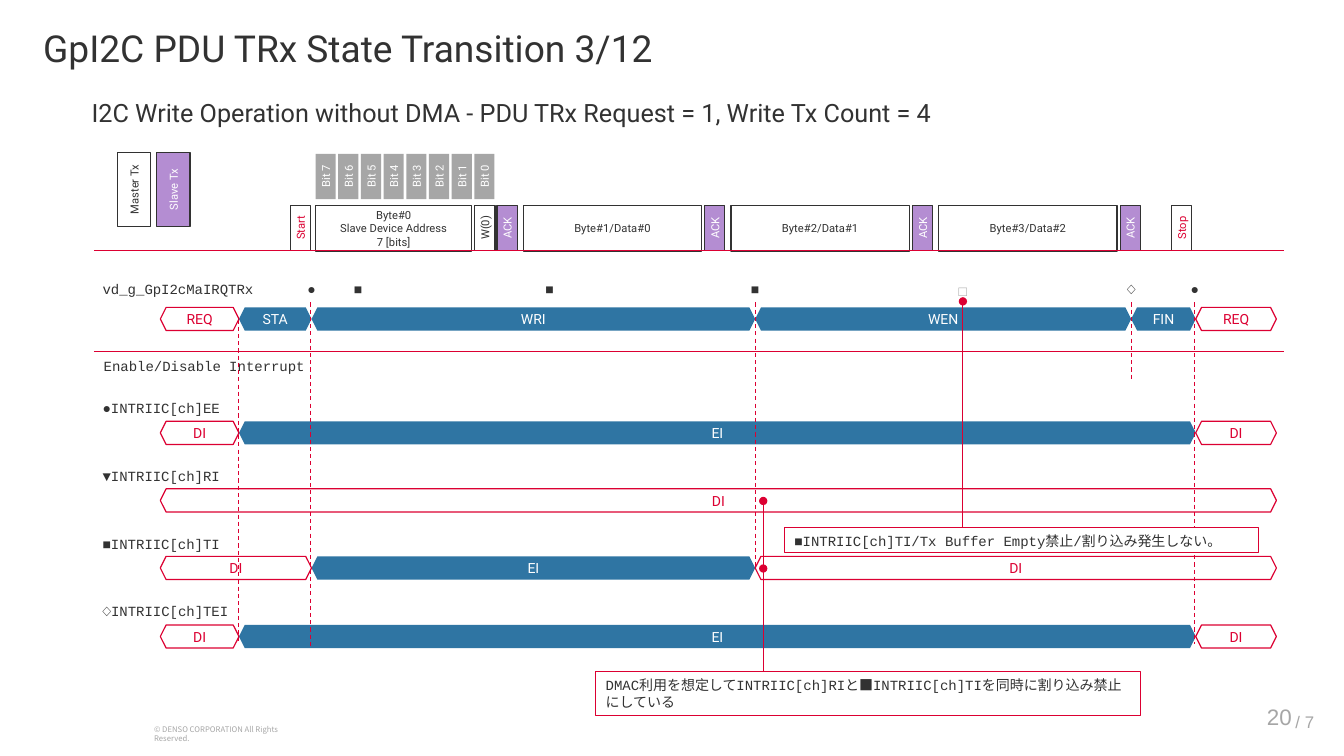
import pptx
import pptx.util
import pptx.dml.color
import pptx.enum.dml
import pptx.enum.shapes
import pptx.enum.text
import pptx.oxml.ns
from lxml import etree

Inches = pptx.util.Inches
Pt = pptx.util.Pt
MSO = pptx.enum.shapes.MSO_SHAPE
ALIGN = pptx.enum.text.PP_ALIGN
ANCHOR = pptx.enum.text.MSO_ANCHOR
qn = pptx.oxml.ns.qn

INK, RED, BLUE = "323232", "DC0032", "2F75A3"
PURPLE, GREY, WHITE = "B48DD2", "A6A6A6", "FFFFFF"
SANS, MONO = "Roboto", "Courier New"


def rgb(value):
    return pptx.dml.color.RGBColor.from_string(value)


class TimingSlide:
    def __init__(self, prs):
        self.shapes = prs.slides.add_slide(prs.slide_layouts[6]).shapes

    def put_text(self, sp, text, size, color, font, align, anchor, inset, spacing=None, wrap=True):
        tf = sp.text_frame
        tf.word_wrap = wrap
        tf.vertical_anchor = anchor
        tf.margin_left = tf.margin_right = Inches(inset[0])
        tf.margin_top = tf.margin_bottom = Inches(inset[1])
        for i, line in enumerate(text.split("\n")):
            p = tf.add_paragraph() if i else tf.paragraphs[0]
            p.add_run().text = line
            p.alignment = align
            p.line_spacing = spacing
            p.font.size, p.font.name = Pt(size), font
            p.font.color.rgb = rgb(color)

    def text(self, x, y, w, h, text, size=10, color=INK, font=MONO, align=ALIGN.LEFT,
             anchor=ANCHOR.TOP, inset=(0.1, 0.05), spacing=None, wrap=True):
        sp = self.shapes.add_textbox(Inches(x), Inches(y), Inches(w), Inches(h))
        self.put_text(sp, text, size, color, font, align, anchor, inset, spacing, wrap)

    def shape(self, kind, x, y, w, h, fill, line, weight=0.85):
        sp = self.shapes.add_shape(kind, Inches(x), Inches(y), Inches(w), Inches(h))
        sp.shadow.inherit = False
        if fill:
            sp.fill.solid()
            sp.fill.fore_color.rgb = rgb(fill)
        else:
            sp.fill.background()
        if line:
            sp.line.color.rgb = rgb(line)
            sp.line.width = Pt(weight)
        else:
            sp.line.fill.background()
        return sp

    def box(self, x, y, w, h, text, fill=WHITE, line=INK, color=INK):
        sp = self.shape(MSO.RECTANGLE, x, y, w, h, fill, line)
        self.put_text(sp, text, 8, color, SANS, ALIGN.CENTER, ANCHOR.MIDDLE, (0, 0))
        return sp

    def upright(self, cx, cy, text, length=0.45, thick=0.2, **style):
        """Box turned to read upwards, placed by its centre."""
        sp = self.box(cx - length / 2, cy - thick / 2, length, thick, text, **style)
        sp.rotation = 270

    def state(self, x, end, y, text, active):
        fill, line, color = (BLUE, None, WHITE) if active else (WHITE, RED, RED)
        sp = self.shape(MSO.HEXAGON, x, y, end - x, 0.23, fill, line)
        self.put_text(sp, text, 10, color, SANS, ALIGN.CENTER, ANCHOR.MIDDLE, (0, 0))

    def note(self, x, y, w, h, text, fill):
        sp = self.shape(MSO.RECTANGLE, x, y, w, h, fill, RED, 0.75)
        self.put_text(sp, text, 10, INK, MONO, ALIGN.LEFT, ANCHOR.TOP, (0.1, 0.05))

    def line(self, x1, y1, x2, y2, dash=False, dot=False):
        cn = self.shapes.add_connector(pptx.enum.shapes.MSO_CONNECTOR.STRAIGHT,
                                       Inches(x1), Inches(y1), Inches(x2), Inches(y2))
        cn.line.color.rgb = rgb(RED)
        cn.line.width = Pt(0.75)
        if dash:
            cn.line.dash_style = pptx.enum.dml.MSO_LINE.DASH
        if dot:
            etree.SubElement(cn.get_or_add_ln(), qn("a:tailEnd"), type="oval")
        etree.SubElement(cn._element.spPr, qn("a:effectLst"))


def main():
    prs = pptx.Presentation()
    prs.slide_width, prs.slide_height = Inches(13.33), Inches(7.5)
    s = TimingSlide(prs)

    # Footer and headings
    s.text(1.43, 7.14, 1.78, 0.19, "© DENSO CORPORATION All Rights Reserved.", 5.5, GREY,
           "Noto Sans CJK JP")
    s.text(12.2, 6.93, 0.71, 0.35, "20", 16, GREY, "Arial", ALIGN.RIGHT, ANCHOR.MIDDLE, (0.1, 0.04))
    s.text(12.75, 7.02, 0.39, 0.28, "/ 7", 12, GREY, "Arial", anchor=ANCHOR.MIDDLE,
           inset=(0.1, 0.04), wrap=False)
    s.text(0.33, 0.28, 11.49, 0.45, "GpI2C PDU TRx State Transition 3/12", 26.5, font=SANS,
           anchor=ANCHOR.MIDDLE, spacing=0.9)
    s.text(0.81, 0.86, 9.14, 0.36,
           "I2C Write Operation without DMA - PDU TRx Request = 1, Write Tx Count = 4",
           18, font=SANS, inset=(0.1, 0), spacing=1.35, wrap=False)

    # Bus frame: start, address bits, bytes with acknowledges, stop
    bus_y = 2.26
    slave = {"fill": PURPLE, "color": WHITE}
    s.upright(2.98, bus_y, "Start", color=RED)
    s.upright(11.72, bus_y, "Stop", color=RED)
    for i in range(8):
        s.upright(3.23 + 0.225 * i, 1.75, f"Bit {7 - i}", fill=GREY, line=None, color=WHITE)
    s.box(3.13, 2.04, 1.55, 0.45, "Byte#0\nSlave Device Address\n7 [bits]")
    s.upright(4.81, bus_y, "W(0)")
    s.upright(5.03, bus_y, "ACK", **slave)
    for i in range(3):
        x = 5.19 + 2.06 * i
        s.box(x, 2.04, 1.77, 0.45, f"Byte#{i + 1}/Data#{i}")
        s.upright(x + 1.9, bus_y, "ACK", **slave)

    # Legend
    s.upright(1.33, 1.88, "Master Tx", 0.73, 0.33)
    s.upright(1.72, 1.88, "Slave Tx", 0.73, 0.33, **slave)

    # State rows: label, label top, bar top, (start, end, state, active)
    left, sta, wri, wen, fin, req, right = 1.59, 2.37, 3.09, 7.49, 11.22, 11.86, 12.66
    enabled = [(sta, req, "EI", True), (req, right, "DI", False), (left, sta, "DI", False)]
    rows = [
        ("vd_g_GpI2cMaIRQTRx", 2.73, 3.05,
         [(sta, wri, "STA", True), (wri, wen, "WRI", True), (wen, fin, "WEN", True),
          (fin, req, "FIN", True), (req, right, "REQ", False), (left, sta, "REQ", False)]),
        ("●INTRIIC[ch]EE", 3.91, 4.18, enabled),
        ("▼INTRIIC[ch]RI", 4.59, 4.85, [(left, right, "DI", False)]),
        ("■INTRIIC[ch]TI", 5.26, 5.52,
         [(wri, wen, "EI", True), (wen, right, "DI", False), (left, wri, "DI", False)]),
        ("◇INTRIIC[ch]TEI", 5.93, 6.2, enabled),
    ]
    for label, label_y, bar_y, states in rows:
        s.text(0.92, label_y, 1.77, 0.27, label)
        for x, end, name, active in states:
            s.state(x, end, bar_y, name, active)
    s.text(0.93, 3.5, 2.65, 0.27, "Enable/Disable Interrupt")

    # Interrupt marks above the first row
    for cx, mark in [(3.09, "●"), (3.55, "■"), (5.45, "■"), (7.49, "■"), (11.22, "◇"), (11.85, "●")]:
        s.text(cx - 0.16, 2.73, 0.32, 0.27, mark, align=ALIGN.CENTER)
    s.text(9.39, 2.75, 0.32, 0.27, "□", color=GREY, align=ALIGN.CENTER)

    # Horizontal rules and dashed state boundaries
    for y in (2.49, 3.49):
        s.line(0.93, y, 12.74, y)
    for x, top, bottom in [(sta, 3.17, 6.39), (3.08, 3, 6.42), (wen, 3, 5.64),
                           (fin, 3, 3.77), (11.85, 3, 6.39)]:
        s.line(x, top, x, bottom, dash=True)

    # Notes with dotted leaders
    s.note(5.91, 6.66, 5.4, 0.44,
           "DMAC利用を想定してINTRIIC[ch]RIと■INTRIIC[ch]TIを同時に割り込み禁止にしている", None)
    s.note(7.78, 5.23, 4.7, 0.25, "■INTRIIC[ch]TI/Tx Buffer Empty禁止/割り込み発生しない。", WHITE)
    s.line(9.55, 5.23, 9.55, 2.99, dot=True)
    for y in (4.97, 5.64):
        s.line(7.57, 6.66, 7.57, y, dot=True)

    prs.save("out.pptx")


if __name__ == "__main__":
    main()
